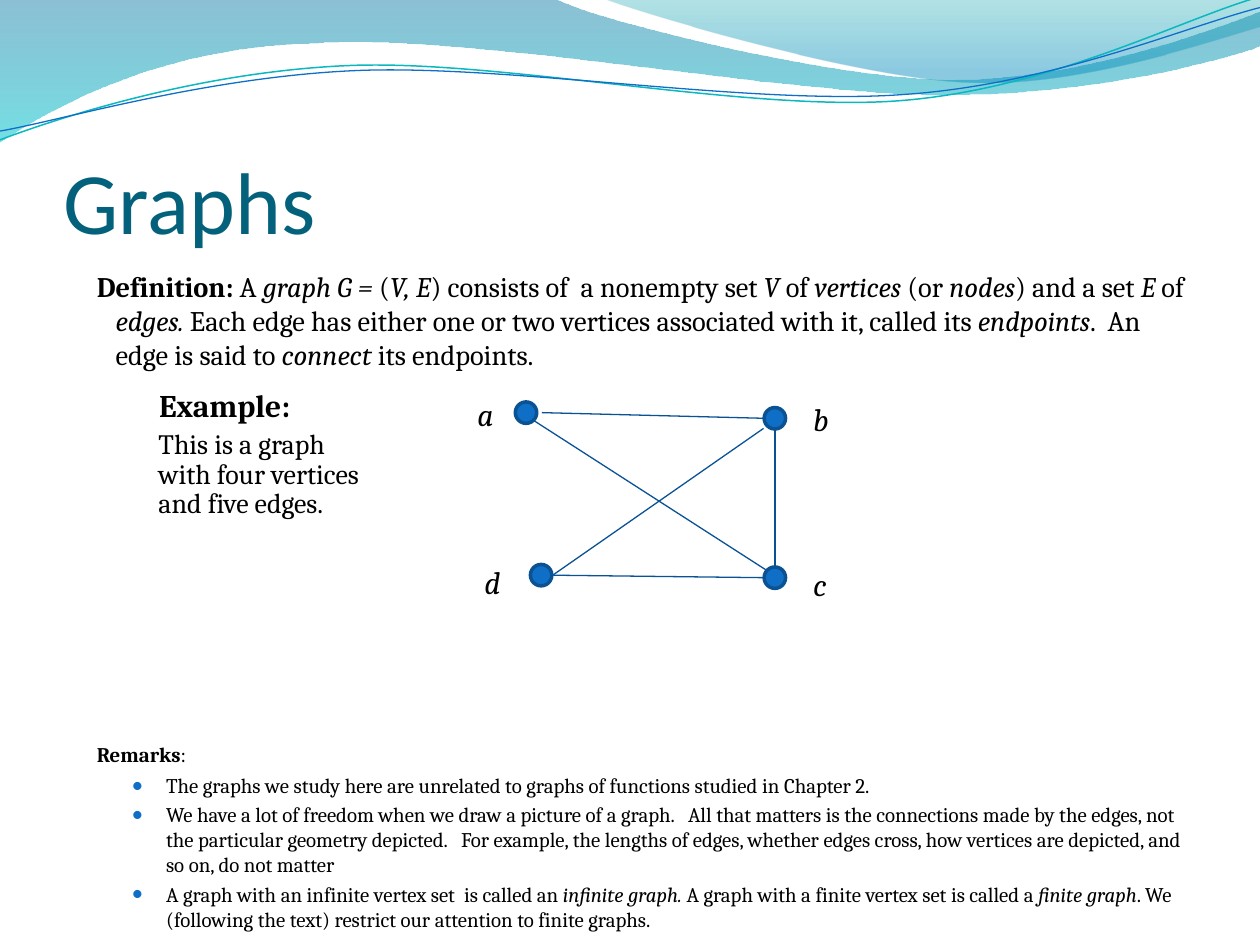
from math import cos, radians, sin
from lxml.etree import SubElement
from pptx import Presentation
from pptx.dml.color import RGBColor
from pptx.enum.shapes import MSO_CONNECTOR, MSO_SHAPE
from pptx.enum.text import MSO_ANCHOR
from pptx.oxml.ns import qn
from pptx.util import Inches, Pt

BLACK = RGBColor(0x00, 0x00, 0x00)
TITLE_TEAL = RGBColor(0x04, 0x61, 0x7B)
NODE_BLUE = RGBColor(0x0F, 0x6F, 0xC6)
NODE_RIM = RGBColor(0x0B, 0x52, 0x92)
EDGE_BLUE = RGBColor(0x09, 0x52, 0x95)
WAVE_TEAL = RGBColor(0x0A, 0xB8, 0xBF)
DEEP_BLUE = RGBColor(0x00, 0x74, 0xA1)
AQUA = RGBColor(0x00, 0xC6, 0xCF)
SEA_GREEN = RGBColor(0x00, 0xA1, 0xA9)
SKY_BLUE = RGBColor(0x00, 0x8B, 0xBF)

deck = Presentation()
deck.slide_width, deck.slide_height = Inches(10), Inches(7.5)
page = deck.slides.add_slide(deck.slide_layouts[6])
shapes = page.shapes
COLUMN = deck.slide_width / 100
ROW = deck.slide_height / 75


def draw_outline(start, segments, closed, tilt=0, center=(0, 0)):
    points = [start]
    for segment in segments:
        points.extend(zip(segment[::2], segment[1::2]))
    turn = radians(tilt)
    placed = []
    for x, y in points:
        across, down = x - center[0], y - center[1]
        placed.append((round((center[0] + across * cos(turn) - down * sin(turn)) * COLUMN),
                       round((center[1] + across * sin(turn) + down * cos(turn)) * ROW)))
    builder = shapes.build_freeform(*placed[0], scale=1.0)
    builder.add_line_segments(placed[1:], close=closed)
    outline = builder.convert_to_shape()
    outline.shadow.inherit = False
    outline.rotation = -tilt % 360
    lines = iter(list(outline._element.iter(qn("a:lnTo"))))
    for segment in segments:
        first = next(lines)
        if len(segment) == 6:
            first.tag = qn("a:cubicBezTo")
            for _ in range(2):
                extra = next(lines)
                first.append(extra[0])
                extra.getparent().remove(extra)
    return outline


def add_text(place, paragraphs, size, color=BLACK, font="Cambria"):
    left, top, width, height = place
    box = shapes.add_textbox(round(left * COLUMN), round(top * ROW),
                             round(width * COLUMN), round(height * ROW))
    frame = box.text_frame
    frame.word_wrap = True
    for index, (lead, body) in enumerate(paragraphs):
        para = frame.paragraphs[0] if index == 0 else frame.add_paragraph()
        para.font.size, para.font.name = Pt(size), font
        para.font.color.rgb = color
        if lead:
            span = para.add_run()
            span.text = lead
            span.font.bold = True
        for part, wording in enumerate(body.split("*")):
            if wording:
                span = para.add_run()
                span.text = wording
                span.font.italic = part % 2 == 1
    return frame


bands = [
    ((0, 0), [(44, -0.1), (47.6, 1.7, 66.4, 6.3, 75.8, 6.3), (85.3, 6.3, 95.8, 2.6, 100, 0.9),
              (100.1, 3.6), (98.3, 4.4, 87, 7.6, 74.6, 7.5), (62.2, 7.5, 38.2, 2.8, 25.7, 3.4),
              (12.9, 3.6, 4.6, 8.3, -0.1, 11.3)],
     [(0, DEEP_BLUE, 45), (1, AQUA, 55)]),
    ((47.9, -0.1), [(50.9, 1.1, 68.2, 6.2, 76.9, 6.5), (85.6, 6.9, 96.1, 3.2, 100, 2.1), (100, 0)],
     [(0, SEA_GREEN, 30), (0.8, SKY_BLUE, 45)]),
]
for start, segments, stops in bands:
    band = draw_outline(start, segments, True)
    band.line.fill.background()
    band.fill.gradient()
    band.fill.gradient_angle = 270
    for stop, (position, color, _) in zip(band.fill.gradient_stops, stops):
        stop.position, stop.color.rgb = position, color
    colors = band._element.spPr.iter(qn("a:srgbClr"))
    for color_element, (_, _, opacity) in zip(list(colors), stops):
        SubElement(color_element, qn("a:alpha"), val=str(opacity * 1000))

waves = [
    ((0, 11.1), [(4.8, 9.3, 15.8, 5.7, 27.7, 5.2), (39.5, 4.7, 59.3, 8.9, 71.3, 8),
                 (83.3, 7.1, 93.8, 1.5, 99.8, -0.2)], (49.9, 5.75), WAVE_TEAL, 0.85),
    ((0, 10.4), [(4.7, 9.6, 16.4, 6.1, 28.3, 5.6), (40.3, 5.1, 59.7, 8.4, 71.7, 7.5),
                 (83.6, 6.7, 94.1, 2.1, 100, 0.6)], (49.95, 5.9), NODE_BLUE, 0.75),
]
for start, segments, center, color, weight in waves:
    wave = draw_outline(start, segments, False, 2.7, center)
    wave.fill.background()
    wave.line.color.rgb, wave.line.width = color, Pt(weight)

title = add_text((5.05, 7.5, 90, 12.5), [("", "Graphs")], 50, TITLE_TEAL, "Calibri")
title.vertical_anchor = MSO_ANCHOR.BOTTOM
title.margin_left = title.margin_right = title.margin_bottom = 0

body = add_text((5.2, 20.85, 90, 48), [
    ("Definition:",
     " A *graph G = *(*V, E*) consists of  a nonempty set *V* of *vertices *(or *nodes*) and a set *E* of "
     "*edges. *Each edge has either one or two vertices associated with it, called its *endpoints*.  "
     "An edge is said to *connect* its endpoints."),
    ("Remarks", ":"),
    ("", "The graphs we study here are unrelated to graphs of functions studied in Chapter 2."),
    ("", "We have a lot of freedom when we draw a picture of a graph.   All that matters is the connections "
         "made by the edges, not the particular geometry depicted.   For example, the lengths of edges, "
         "whether edges cross, how vertices are depicted, and so on, do not matter"),
    ("", "A graph with an infinite vertex set  is called an *infinite graph. *A graph with a finite vertex set "
         "is called a *finite graph*. We (following the text) restrict our attention to finite graphs."),
], 11.9)
definition, heading, *bullets = body.paragraphs
definition.font.size = Pt(16.2)
heading.space_before, heading.space_after = Pt(212), Pt(1)
for para, margin, indent in [(definition, 3, -1.5), (heading, 1.5, 0),
                             *((bullet, 7, -2.7) for bullet in bullets)]:
    properties = para._p.get_or_add_pPr()
    properties.set("marL", str(round(margin * COLUMN)))
    properties.set("indent", str(round(indent * COLUMN)))
for para in bullets:
    para.space_before = Pt(2.4)
    properties = para._p.get_or_add_pPr()
    bullet_color = SubElement(properties, qn("a:buClr"))
    SubElement(bullet_color, qn("a:srgbClr"), val=str(NODE_BLUE))
    SubElement(properties, qn("a:buSzPct"), val="85000")
    SubElement(properties, qn("a:buFont"), typeface="Calibri")
    SubElement(properties, qn("a:buChar"), char="●")
    properties.append(properties.find(qn("a:defRPr")))

NODE_SIZE = 1.7
vertices = [("a", 40.9, 31.9, 36.9, 30.85), ("b", 60.65, 32.35, 63.55, 31.25),
            ("c", 60.65, 45, 63.55, 44.35), ("d", 42.1, 44.8, 37.45, 44.2)]
for name, left, top, label_left, label_top in vertices:
    node = shapes.add_shape(MSO_SHAPE.OVAL, round(left * COLUMN), round(top * ROW),
                            round(NODE_SIZE * COLUMN), round(NODE_SIZE * ROW))
    node.shadow.inherit = False
    node.fill.solid()
    node.fill.fore_color.rgb = NODE_BLUE
    node.line.color.rgb, node.line.width = NODE_RIM, Pt(2)
    add_text((label_left, label_top, 3.5, 2.7), [("", f"*{name}*")], 18)

edges = [(42.4, 33.4, 60.9, 45.3), (43.8, 45.7, 60.6, 34), (43, 32.75, 60.6, 33.2),
         (61.5, 34, 61.5, 45), (43.8, 45.65, 60.6, 45.85)]
for left, top, right, bottom in edges:
    edge = shapes.add_connector(MSO_CONNECTOR.STRAIGHT, round(left * COLUMN), round(top * ROW),
                                round(right * COLUMN), round(bottom * ROW))
    edge.line.color.rgb, edge.line.width = EDGE_BLUE, Pt(0.75)
    SubElement(edge._element.spPr, qn("a:effectLst"))

add_text((11.65, 30.15, 13.8, 4), [("Example:", "")], 18)
example = add_text((11.6, 33.65, 18.3, 10.5),
                   [("", "This is a graph with four vertices and five edges.")], 16)
example.paragraphs[0].line_spacing = Pt(17)

deck.save("out.pptx")
